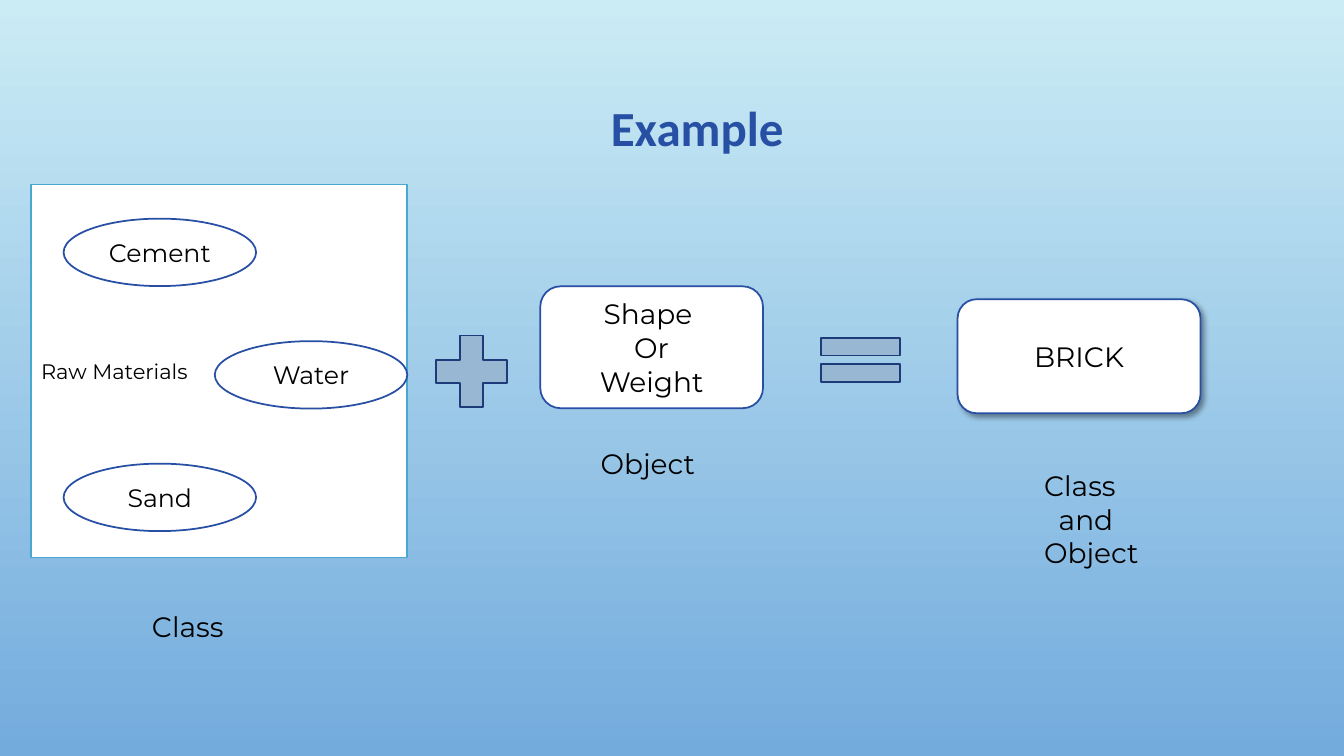
from lxml.etree import SubElement
from pptx import Presentation
from pptx.dml.color import RGBColor
from pptx.enum.shapes import MSO_SHAPE
from pptx.enum.text import MSO_ANCHOR, MSO_AUTO_SIZE, PP_ALIGN
from pptx.oxml.ns import qn
from pptx.util import Pt

BLACK, WHITE = "000000", "FFFFFF"
BLUE, NAVY, STEEL, SKY = "274FA4", "1D3A79", "98B7D3", "48A8D0"


def color(value):
    return RGBColor.from_string(value)


class SlideBuilder:
    """Holds the text style and the slide being drawn."""

    font = "Montserrat"
    line_width = 1.25

    def __init__(self, deck):
        self.slide = deck.slides.add_slide(deck.slide_layouts[5])

    def background(self, top, bottom):
        fill = self.slide.background.fill
        fill.gradient()
        fill.gradient_angle = 270
        for stop, value, position in zip(fill.gradient_stops, (top, bottom), (0, 1)):
            stop.color.rgb = color(value)
            stop.position = position

    def set_text(self, frame, lines, size, align=PP_ALIGN.LEFT, font=font, ink=BLACK, bold=False):
        frame.word_wrap = True
        frame.text = "\n".join(lines)
        for para in frame.paragraphs:
            para.alignment = align
            for span in para.runs:
                span.font.name = font
                span.font.size = Pt(size)
                span.font.bold = bold
                span.font.color.rgb = color(ink)

    def title(self, text, left, top, width, height):
        box = self.slide.shapes.title
        box.left, box.top, box.width, box.height = map(Pt, (left, top, width, height))
        box.text_frame.vertical_anchor = MSO_ANCHOR.TOP
        box.text_frame.auto_size = MSO_AUTO_SIZE.NONE
        self.set_text(box.text_frame, [text], 35, font="Calibri", ink=BLUE, bold=True)

    def shape(self, kind, left, top, width, height, lines=(), size=20,
              align=PP_ALIGN.CENTER, fill=WHITE, line=BLUE):
        box = self.slide.shapes.add_shape(kind, Pt(left), Pt(top), Pt(width), Pt(height))
        box.fill.solid()
        box.fill.fore_color.rgb = color(fill)
        box.line.color.rgb = color(line)
        box.line.width = Pt(self.line_width)
        box.shadow.inherit = False
        if lines:
            box.text_frame.vertical_anchor = MSO_ANCHOR.MIDDLE
            self.set_text(box.text_frame, lines, size, align)
        return box

    def drop_shadow(self, box):
        effects = box.element.spPr.find(qn("a:effectLst"))
        shadow = SubElement(effects, qn("a:outerShdw"), blurRad=str(Pt(4)), dist=str(Pt(3)),
                            dir=str(45 * 60000), algn="tl", rotWithShape="0")
        black = SubElement(shadow, qn("a:srgbClr"), val=BLACK)
        SubElement(black, qn("a:alpha"), val="40000")

    def caption(self, lines, left, top, width, height=31.7):
        box = self.slide.shapes.add_textbox(Pt(left), Pt(top), Pt(width), Pt(height))
        self.set_text(box.text_frame, lines, 20)
        box.text_frame.auto_size = MSO_AUTO_SIZE.SHAPE_TO_FIT_TEXT
        return box


def main():
    deck = Presentation()
    deck.slide_width, deck.slide_height = Pt(960), Pt(540)
    page = SlideBuilder(deck)
    page.background("CBECF5", "73ABDD")

    page.shape(MSO_SHAPE.RECTANGLE, 22.3, 131.8, 268.6, 266.4, ["Raw Materials"], 15,
               PP_ALIGN.LEFT, line=SKY)
    materials = (("Cement", 45.4), ("Water", 153.4), ("Sand", 45.4))
    for row, (material, left) in enumerate(materials):
        page.shape(MSO_SHAPE.OVAL, left, 156.2 + 87.5 * row, 137.5, 48.2, [material], 18)

    page.shape(MSO_SHAPE.ROUNDED_RECTANGLE, 385.9, 204.5, 159.1, 87.1,
               ["Shape ", "Or", "Weight"])
    brick = page.shape(MSO_SHAPE.ROUNDED_RECTANGLE, 684, 213.8, 173.5, 81.4, ["BRICK"])
    page.drop_shadow(brick)

    page.shape(MSO_SHAPE.MATH_PLUS, 302.4, 230.4, 69.1, 69.8, fill=STEEL, line=NAVY)
    page.shape(MSO_SHAPE.MATH_EQUAL, 576, 230.4, 77, 53.3, fill=STEEL, line=NAVY)

    page.caption(["Class"], 101.5, 432, 81.4)
    page.caption(["Object"], 421.9, 315.4, 103.7)
    result = page.caption(["Class", "and Object"], 738.7, 331.2, 105.1, 79.9)
    indented = result.text_frame.paragraphs[1]
    indented._p.get_or_add_pPr().set("indent", str(Pt(10.5)))

    page.title("Example", 429.1, 66.2, 176.4, 49.7)
    deck.save("out.pptx")


if __name__ == "__main__":
    main()
